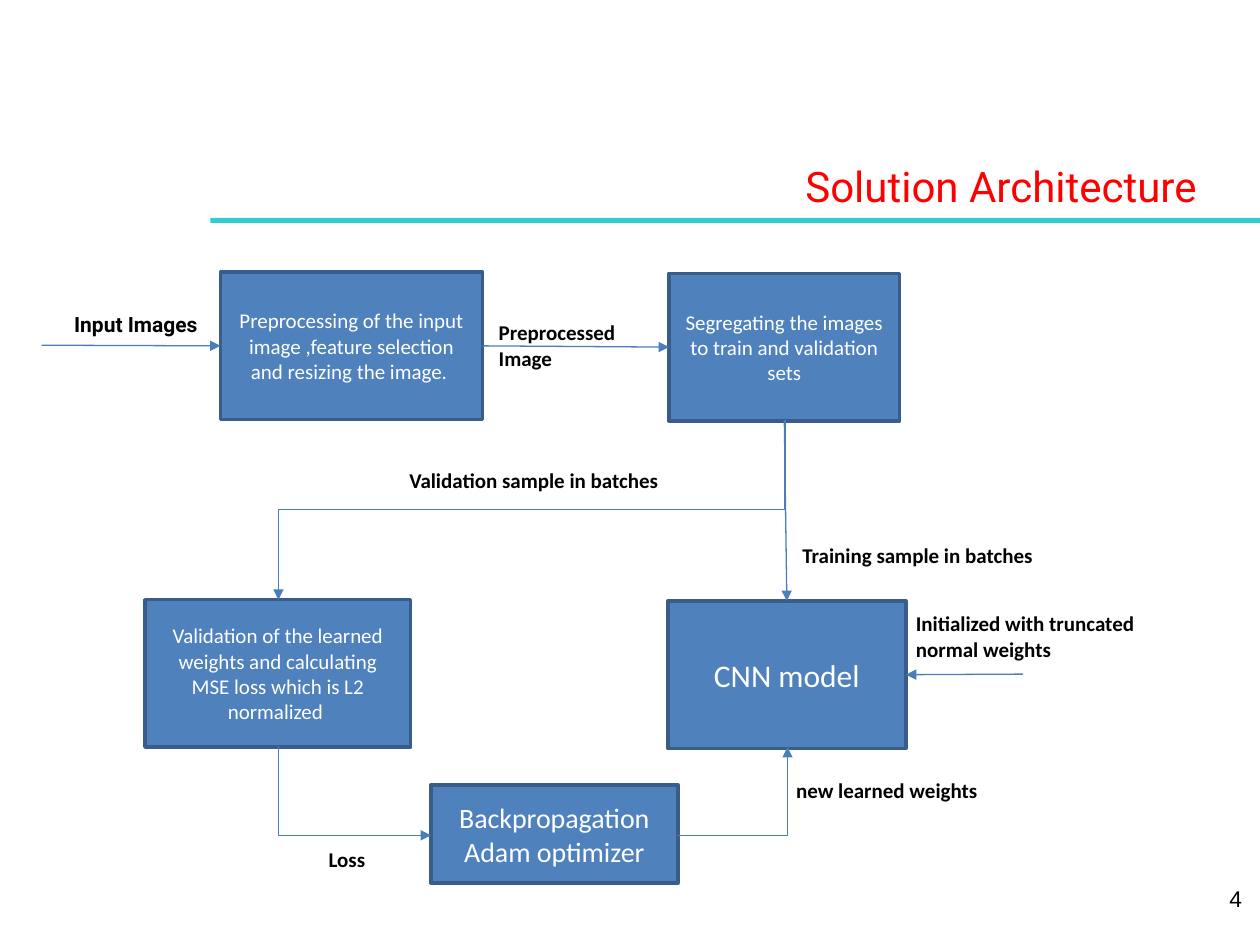
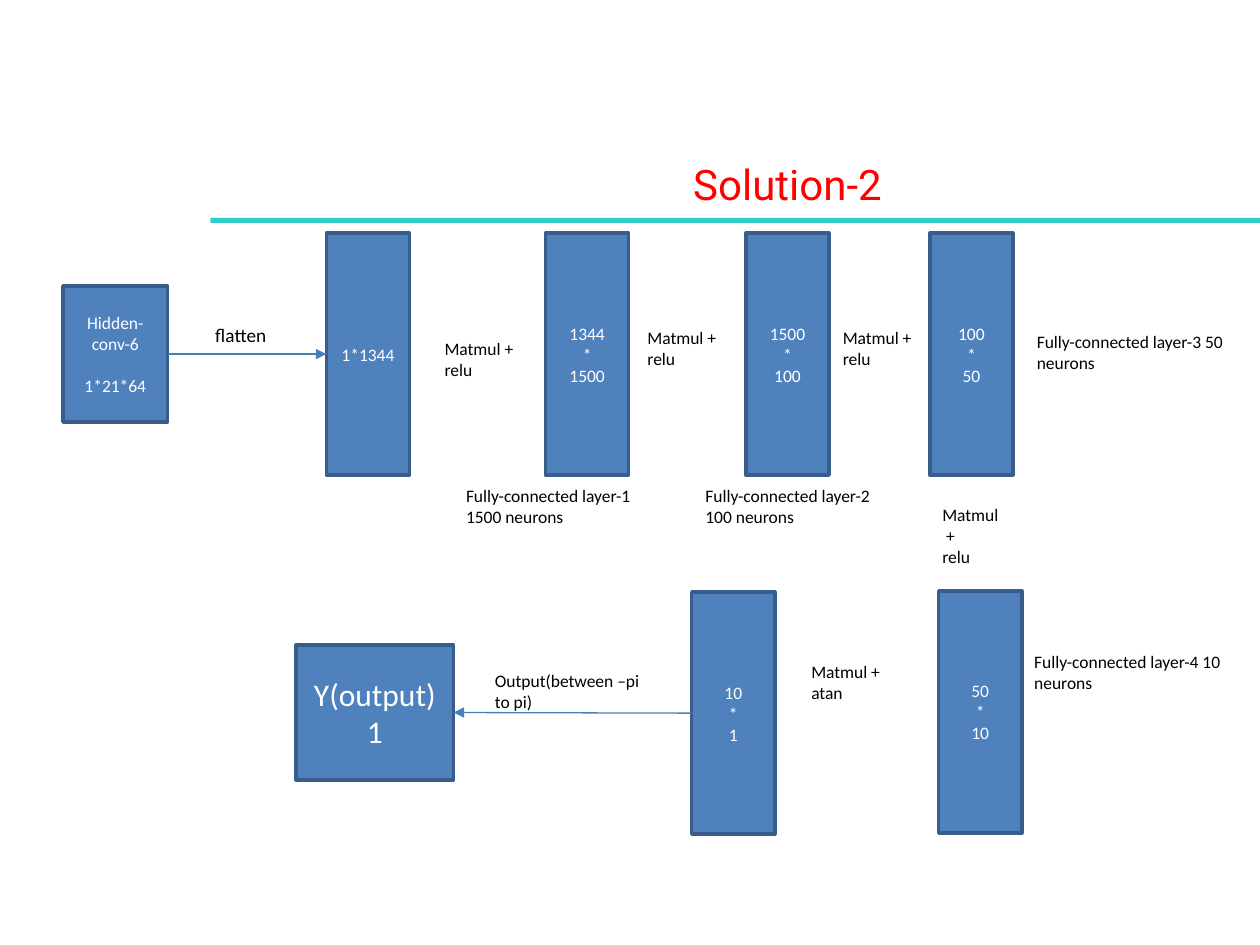
from lxml import etree
from pptx import Presentation
from pptx.dml.color import RGBColor
from pptx.enum.shapes import MSO_CONNECTOR, MSO_SHAPE
from pptx.enum.text import MSO_ANCHOR, MSO_AUTO_SIZE, PP_ALIGN
from pptx.oxml.ns import qn
from pptx.util import Inches, Pt

RECT = MSO_SHAPE.RECTANGLE
STRAIGHT, ELBOW = MSO_CONNECTOR.STRAIGHT, MSO_CONNECTOR.ELBOW
TOP, MIDDLE = MSO_ANCHOR.TOP, MSO_ANCHOR.MIDDLE
LEFT, CENTER = PP_ALIGN.LEFT, PP_ALIGN.CENTER
NO_FIT = MSO_AUTO_SIZE.NONE
TOP_SIDE, LEFT_SIDE, BOTTOM_SIDE, RIGHT_SIDE = range(4)
TITLE_ONLY = 5

BAND, TITLE, BLACK, WHITE = "33CCCC", "FF0000", "000000", "FFFFFF"
BOX_FILL, BOX_LINE, ARROW = "4F81BD", "385D8A", "4A7EBB"


def rgb(value):
    return RGBColor.from_string(value)


def write(tf, text, size=12, font="Calibri", color=BLACK, bold=False,
          align=LEFT, anchor=TOP, last_gap=0):
    """Fill a text frame, one paragraph per line; last_gap precedes the last."""
    tf.word_wrap = True
    tf.auto_size = NO_FIT
    tf.vertical_anchor = anchor
    for i, line in enumerate(text.split("\n")):
        p = tf.add_paragraph() if i else tf.paragraphs[0]
        p.alignment = align
        r = p.add_run()
        r.text = line
        r.font.size, r.font.name, r.font.bold = Pt(size), font, bold
        r.font.color.rgb = rgb(color)
    if last_gap:
        p.space_before = Pt(last_gap)


class Deck:
    def __init__(self):
        self.prs = Presentation()
        self.prs.slide_width, self.prs.slide_height = Inches(10), Inches(7.5)
        self.s = None

    def new_slide(self, title, left, top, width):
        self.s = self.prs.slides.add_slide(self.prs.slide_layouts[TITLE_ONLY])
        self.rect(1.67, 1.73, 8.33, 0.04, BAND)
        sp = self.s.shapes.title
        sp.left, sp.top = Inches(left), Inches(top)
        sp.width, sp.height = Inches(width), Inches(0.42)
        tf = sp.text_frame
        tf.margin_left = tf.margin_right = tf.margin_top = tf.margin_bottom = 0
        write(tf, title, size=24, font="Roboto", color=TITLE, align=CENTER)

    def rect(self, x, y, w, h, fill, line=None):
        sp = self.s.shapes.add_shape(RECT, Inches(x), Inches(y), Inches(w), Inches(h))
        sp.shadow.inherit = False
        sp.fill.solid()
        sp.fill.fore_color.rgb = rgb(fill)
        if line:
            sp.line.color.rgb = rgb(line)
            sp.line.width = Pt(2)
        else:
            sp.line.fill.background()
        return sp

    def box(self, text, x, y, w, h, **style):
        sp = self.rect(x, y, w, h, BOX_FILL, BOX_LINE)
        write(sp.text_frame, text, color=WHITE, align=CENTER, anchor=MIDDLE, **style)
        return sp

    def label(self, text, x, y, w, h=0.3, **style):
        sp = self.s.shapes.add_textbox(Inches(x), Inches(y), Inches(w), Inches(h))
        write(sp.text_frame, text, **style)

    def connector(self, kind, start, end):
        ends = [Inches(v) for v in (*start, *end)]
        sp = self.s.shapes.add_connector(kind, *ends)
        sp.line.color.rgb = rgb(ARROW)
        sp.line.width = Pt(0.75)
        ln = sp.line._get_or_add_ln()
        etree.SubElement(ln, qn("a:tailEnd"), type="triangle")
        etree.SubElement(sp._element.spPr, qn("a:effectLst"))
        return sp

    def arrow(self, start, end):
        """Draw a straight arrow; each end is a point or a (box, side) pair."""
        points = [e if isinstance(e[0], (int, float)) else (0, 0) for e in (start, end)]
        sp = self.connector(STRAIGHT, *points)
        if points[0] is not start:
            sp.begin_connect(*start)
        if points[1] is not end:
            sp.end_connect(*end)

    def elbow(self, start, end, preset, vertical_first=False):
        """Draw a bent arrow; one that leaves vertically is a turned frame."""
        turn = 0
        if vertical_first:
            (x1, y1), (x2, y2) = start, end
            cx, cy = (x1 + x2) / 2, (y1 + y2) / 2
            turn = 1 if x2 < x1 else -1
            dx, dy = turn * (x2 - x1) / 2, turn * (y2 - y1) / 2
            start, end = (cx - dy, cy + dx), (cx + dy, cy - dx)
        sp = self.connector(ELBOW, start, end)
        sp._element.spPr.find(qn("a:prstGeom")).set("prst", preset)
        if turn:
            sp._element.spPr.find(qn("a:xfrm")).set("rot", str(turn * 90 % 360 * 60000))


def architecture_slide(deck):
    deck.new_slide("Solution Architecture", 5.98, 1.27, 3.93)
    deck.label("4", 9.66, 6.97, 0.34, size=13, font="Arial")

    preprocess = deck.box("Preprocessing of the input image ,feature selection "
                          "and resizing the image. ", 1.75, 2.16, 2.08, 1.17)
    segregate = deck.box("Segregating the images to train and validation sets",
                         5.31, 2.17, 1.83, 1.17)
    cnn = deck.box("CNN model", 5.3, 4.77, 1.89, 1.17, size=18)
    deck.box("Validation of the learned weights and calculating "
             "MSE loss which is L2 normalized ", 1.15, 4.76, 2.11, 1.17)
    deck.box("Backpropagation\nAdam optimizer", 3.42, 6.23, 1.96, 0.78, size=16)

    deck.arrow((0.33, 2.74), (preprocess, LEFT_SIDE))
    deck.arrow((preprocess, RIGHT_SIDE), (segregate, LEFT_SIDE))
    deck.arrow((segregate, BOTTOM_SIDE), (cnn, TOP_SIDE))
    deck.arrow((8.12, 5.35), (cnn, RIGHT_SIDE))
    deck.elbow((6.23, 3.33), (2.21, 4.76), "bentConnector3", vertical_first=True)
    deck.elbow((2.21, 5.92), (3.42, 6.63), "bentConnector2", vertical_first=True)
    deck.elbow((5.37, 6.63), (6.25, 5.93), "bentConnector2")

    deck.label("Input Images", 0.49, 2.42, 1.3, font="Roboto", bold=True)
    for text, x, y, w in (
        ("Preprocessed Image", 3.86, 2.49, 1.39),
        ("Training sample in batches", 6.27, 4.26, 2.22),
        ("Validation sample in batches", 3.15, 3.66, 2.22),
        ("Initialized with truncated normal weights", 7.17, 4.8, 2.22),
        ("new learned weights", 6.22, 6.12, 2.22),
        ("Loss", 2.51, 6.67, 0.75),
    ):
        deck.label(text, x, y, w, bold=True)


def layers_slide(deck):
    deck.new_slide("Solution-2", 2.59, 1.26, 7.32)

    hidden = deck.box("Hidden-conv-6\n1*21*64", 0.5, 2.27, 0.83, 1.08,
                      size=10, last_gap=12)
    layers = [deck.box(text, x, y, 0.66, 1.92, size=10) for text, x, y in (
        ("1*1344", 2.59, 1.85),
        ("1344\n*\n1500", 4.33, 1.85),
        ("1500\n*\n100", 5.92, 1.85),
        ("100\n*\n50", 7.38, 1.85),
        ("50\n*\n10", 7.45, 4.69),
        ("10\n*\n1", 5.49, 4.7),
    )]
    output = deck.box("Y(output)\n1", 2.35, 5.12, 1.25, 1.07, size=18)

    deck.arrow((hidden, RIGHT_SIDE), (layers[0], LEFT_SIDE))
    deck.arrow((layers[-1], LEFT_SIDE), (output, RIGHT_SIDE))

    deck.label("flatten", 1.61, 2.52, 0.71, size=11)
    for text, x, y in (
        ("Matmul + relu", 3.43, 2.63),
        ("Matmul + relu", 5.04, 2.55),
        ("Matmul + relu", 6.59, 2.55),
        ("Matmul\n +\nrelu", 7.38, 3.95),
        ("Matmul + atan", 6.34, 5.2),
    ):
        deck.label(text, x, y, 0.92, 0.44, size=10)
    deck.label("Output(between –pi to pi)", 3.83, 5.27, 1.46, 0.44, size=10)
    layer_notes = ((1500, 3.6, 3.8), (100, 5.5, 3.8), (50, 8.13, 2.58), (10, 8.11, 5.12))
    for number, (neurons, x, y) in enumerate(layer_notes, 1):
        deck.label(f"Fully-connected layer-{number} {neurons} neurons",
                   x, y, 1.69, 0.44, size=10)


def main():
    deck = Deck()
    architecture_slide(deck)
    layers_slide(deck)
    deck.prs.save("out.pptx")


if __name__ == "__main__":
    main()
